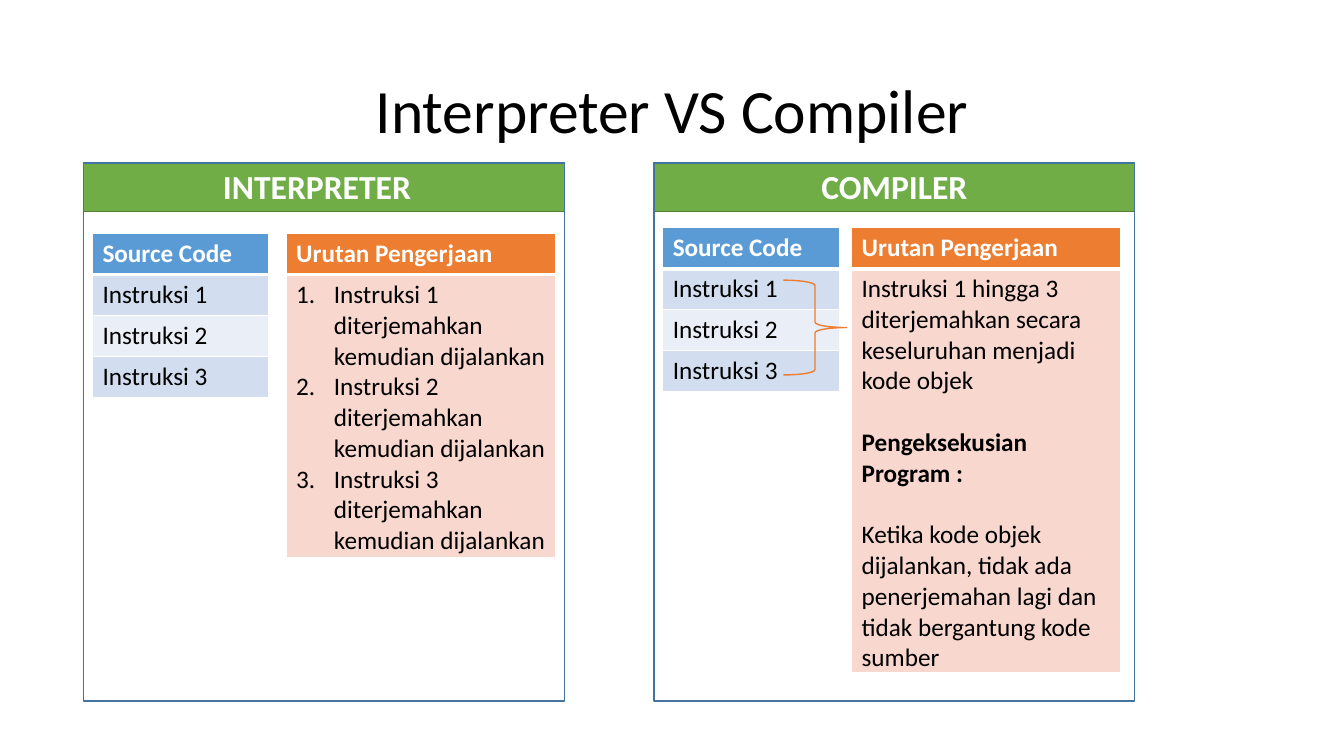
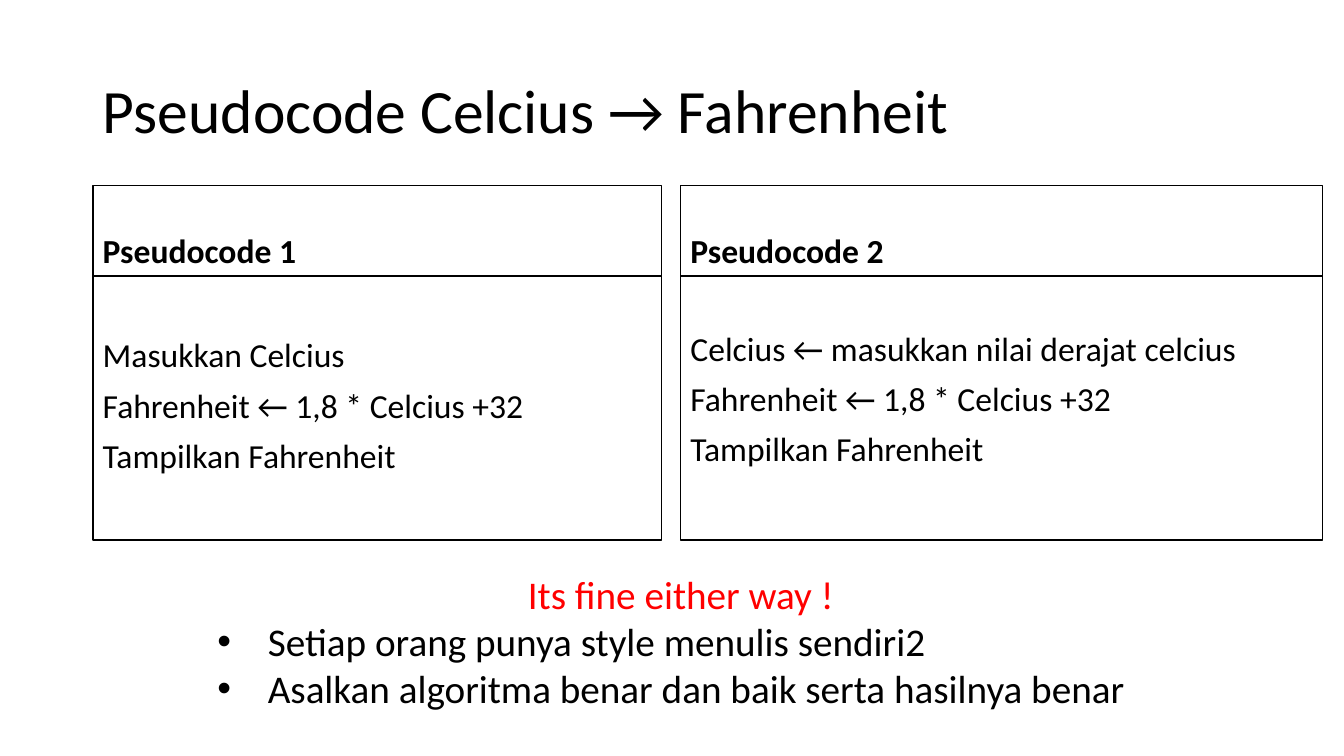
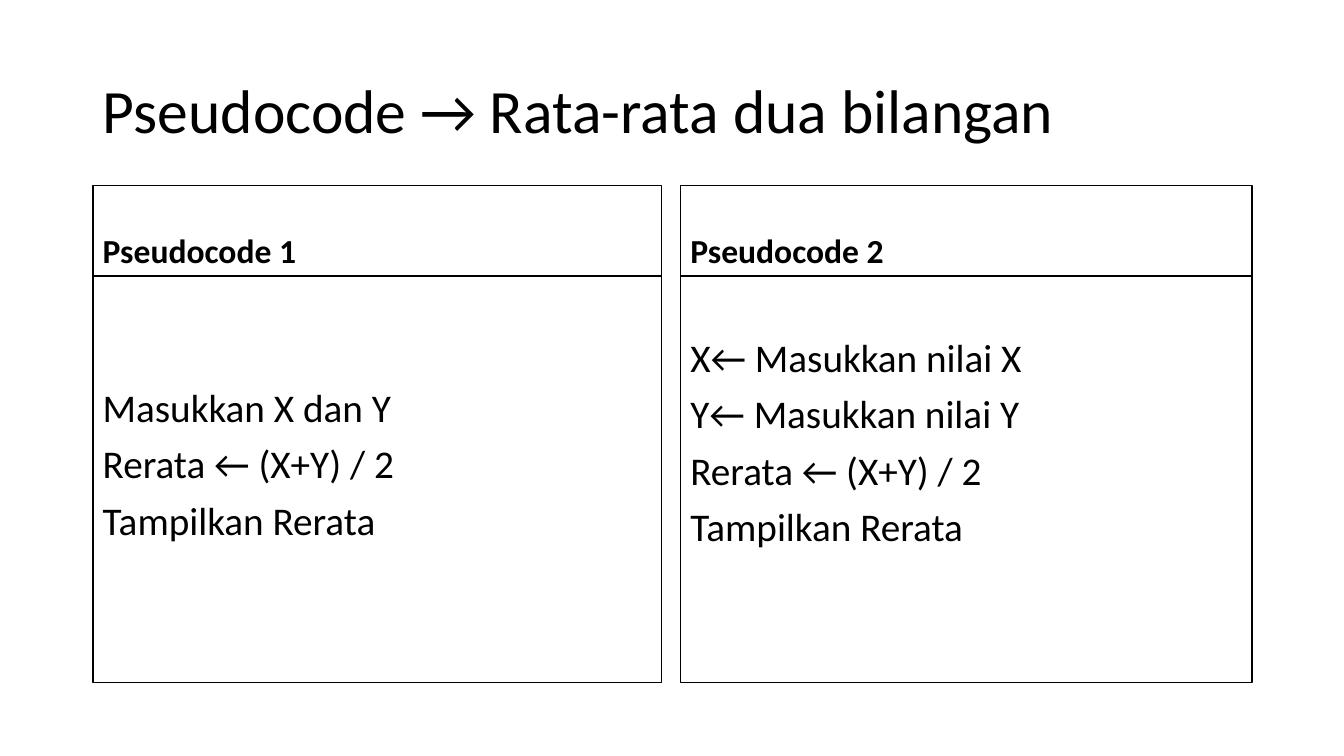
"""Build three slides on interpreters, compilers and pseudocode."""
import pptx
import pptx.dml.color
import pptx.enum.shapes
import pptx.enum.text
import pptx.oxml
import pptx.oxml.ns
import pptx.util

Cm = pptx.util.Cm
Pt = pptx.util.Pt
SHAPE = pptx.enum.shapes.MSO_SHAPE
ALIGN = pptx.enum.text.PP_ALIGN
ANCHOR = pptx.enum.text.MSO_ANCHOR
NS = pptx.oxml.ns.nsdecls("a")

FONT = "Calibri"
COLORS = {
    "text": "000000",
    "white": "FFFFFF",
    "accent": "FF0000",
    "header": "70AD47",
    "header_line": "538035",
    "frame": "43739E",
    "code": "5B9BD5",
    "code_odd": "D2DEEF",
    "code_even": "EAEFF7",
    "order": "ED7D31",
    "order_body": "F8D7CE",
}
NUMBER = ('<a:buFont {} typeface="+mj-lt"/>', '<a:buAutoNum {} type="arabicPeriod"/>')
DOT = ('<a:buFont {} typeface="Arial"/>', '<a:buChar {} char="•"/>')
ROW_H = 1.03


def rgb(name):
    return pptx.dml.color.RGBColor.from_string(COLORS[name])


def add_para(tf, text, size, color="text", bold=False, align=ALIGN.LEFT,
             spacing=1.0, before=0, bullet=(), indent=0):
    p = tf.paragraphs[0]
    if p.runs:
        p = tf.add_paragraph()
    p.alignment = align
    p.line_spacing = spacing
    p.space_before = Pt(before)
    pPr = p._p.get_or_add_pPr()
    if bullet:
        pPr.set("marL", str(Cm(indent)))
        pPr.set("indent", str(-Cm(indent)))
    for xml in bullet:
        pPr.append(pptx.oxml.parse_xml(xml.format(NS)))
    r = p.add_run()
    r.text = text
    r.font.name = FONT
    r.font.size = Pt(size)
    r.font.bold = bold
    r.font.color.rgb = rgb(color)


def add_textbox(slide, x, y, w, h, anchor=ANCHOR.TOP):
    tf = slide.shapes.add_textbox(Cm(x), Cm(y), Cm(w), Cm(h)).text_frame
    tf.word_wrap = True
    tf.vertical_anchor = anchor
    return tf


def add_outline(slide, x, y, w, h, line, fill=None, kind=SHAPE.RECTANGLE):
    sp = slide.shapes.add_shape(kind, Cm(x), Cm(y), Cm(w), Cm(h))
    sp.shadow.inherit = False
    sp.line.color.rgb = rgb(line)
    sp.line.width = Pt(1)
    if fill:
        sp.fill.solid()
        sp.fill.fore_color.rgb = rgb(fill)
    else:
        sp.fill.background()
    tf = sp.text_frame
    tf.word_wrap = True
    return tf


def add_slide(prs, title, align=ALIGN.LEFT):
    slide = prs.slides.add_slide(prs.slide_layouts[6])
    tf = add_textbox(slide, 2.34, 1.02, 29.21, 3.68, ANCHOR.MIDDLE)
    add_para(tf, title, 44, align=align, spacing=0.9)
    return slide


def set_borders(cell, top, bottom):
    tcPr = cell._tc.get_or_add_tcPr()
    widths = {"lnL": 1, "lnR": 1, "lnT": top, "lnB": bottom}
    for i, (tag, width) in enumerate(widths.items()):
        tcPr.insert(i, pptx.oxml.parse_xml(
            f'<a:{tag} {NS} w="{Pt(width)}"><a:solidFill>'
            f'<a:srgbClr val="{COLORS["white"]}"/></a:solidFill></a:{tag}>'))


def add_column(slide, x, y, w, heading, fill, rows):
    """Add a one-column table; each row is (height, fill, paragraphs)."""
    rows = [(ROW_H, fill, [(heading, {"color": "white", "bold": True})])] + rows
    total = sum(row[0] for row in rows)
    tbl = slide.shapes.add_table(len(rows), 1, Cm(x), Cm(y), Cm(w), Cm(total)).table
    for i, (height, row_fill, paras) in enumerate(rows):
        tbl.rows[i].height = Cm(height)
        cell = tbl.cell(i, 0)
        cell.fill.solid()
        cell.fill.fore_color.rgb = rgb(row_fill)
        set_borders(cell, 3 if i == 1 else 1, 3 if i == 0 else 1)
        for text, style in paras:
            add_para(cell.text_frame, text, 18, **style)


def add_panel(slide, x, heading, table_y, order_x, order_h, steps, right_inset=0.25):
    y, w = 4.11, 12.12
    tf = add_outline(slide, x, y, w, 1.22, "header_line", "header")
    tf.vertical_anchor = ANCHOR.BOTTOM
    tf.margin_right = Cm(right_inset)
    add_para(tf, heading, 24, "white", True, ALIGN.CENTER, 0.9, 10)
    add_outline(slide, x, y, w, 13.56, "frame")
    code = [(ROW_H, "code_odd" if n % 2 else "code_even", [(f"Instruksi {n}", {})])
            for n in (1, 2, 3)]
    add_column(slide, x + 0.22, table_y, 4.45, "Source Code", "code", code)
    add_column(slide, order_x, table_y, 6.78, "Urutan Pengerjaan", "order",
               [(order_h, "order_body", steps)])


def add_pseudocode(slide, x, w, h, heading, lines, size, top):
    y, head_h = 4.67, 2.29
    tf = add_outline(slide, x, y, w, head_h, "text", "white")
    tf.vertical_anchor = ANCHOR.BOTTOM
    add_para(tf, heading, 24, bold=True, spacing=0.9, before=10)
    tf = add_outline(slide, x, y + head_h, w, h, "text", "white")
    tf.vertical_anchor = ANCHOR.TOP
    tf.margin_top = Cm(top)
    for i, line in enumerate(lines):
        add_para(tf, line, size, spacing=0.9, before=10 if i else 0)


def build_comparison(prs):
    slide = add_slide(prs, "Interpreter VS Compiler", ALIGN.CENTER)
    steps = [(f"Instruksi {n} diterjemahkan kemudian dijalankan",
              {"bullet": NUMBER, "indent": 0.95}) for n in (1, 2, 3)]
    add_panel(slide, 2.11, "INTERPRETER", 5.89, 7.21, 7.12, steps, 0.61)
    steps = [
        ("Instruksi 1 hingga 3 diterjemahkan secara keseluruhan menjadi kode objek", {}),
        ("Pengeksekusian Program :", {"bold": True, "before": 22}),
        ("Ketika kode objek dijalankan, tidak ada penerjemahan lagi dan tidak "
         "bergantung kode sumber", {"before": 22}),
    ]
    add_panel(slide, 16.48, "COMPILER", 5.74, 21.46, 10.17, steps)
    add_outline(slide, 19.74, 7.06, 1.6, 2.39, "order", kind=SHAPE.RIGHT_BRACE)


def build_celsius(prs):
    slide = add_slide(prs, "Pseudocode Celcius → Fahrenheit")
    shared = ["Fahrenheit ← 1,8 * Celcius +32", "Tampilkan Fahrenheit"]
    add_pseudocode(slide, 2.34, 14.33, 6.65, "Pseudocode 1",
                   ["Masukkan Celcius"] + shared, 24, 1.58)
    add_pseudocode(slide, 17.15, 16.18, 6.65, "Pseudocode 2",
                   ["Celcius ← masukkan nilai derajat celcius"] + shared, 24, 1.41)
    tf = add_textbox(slide, 5.23, 14.25, 23.85, 3.84)
    add_para(tf, "Its fine either way !", 28, "accent", align=ALIGN.CENTER)
    for text in ("Setiap orang punya style menulis sendiri2",
                 "Asalkan algoritma benar dan baik serta hasilnya benar"):
        add_para(tf, text, 28, bullet=DOT, indent=1.27)


def build_average(prs):
    slide = add_slide(prs, "Pseudocode → Rata-rata dua bilangan")
    shared = ["Rerata ← (X+Y) / 2", "Tampilkan Rerata"]
    add_pseudocode(slide, 2.34, 14.33, 10.24, "Pseudocode 1",
                   ["Masukkan X dan Y"] + shared, 28, 2.83)
    add_pseudocode(slide, 17.15, 14.4, 10.24, "Pseudocode 2",
                   [f"{v}← Masukkan nilai {v}" for v in "XY"] + shared, 28, 1.57)


def main():
    prs = pptx.Presentation()
    prs.slide_width = Cm(33.87)
    prs.slide_height = Cm(19.05)
    build_comparison(prs)
    build_celsius(prs)
    build_average(prs)
    prs.save("out.pptx")


if __name__ == "__main__":
    main()
